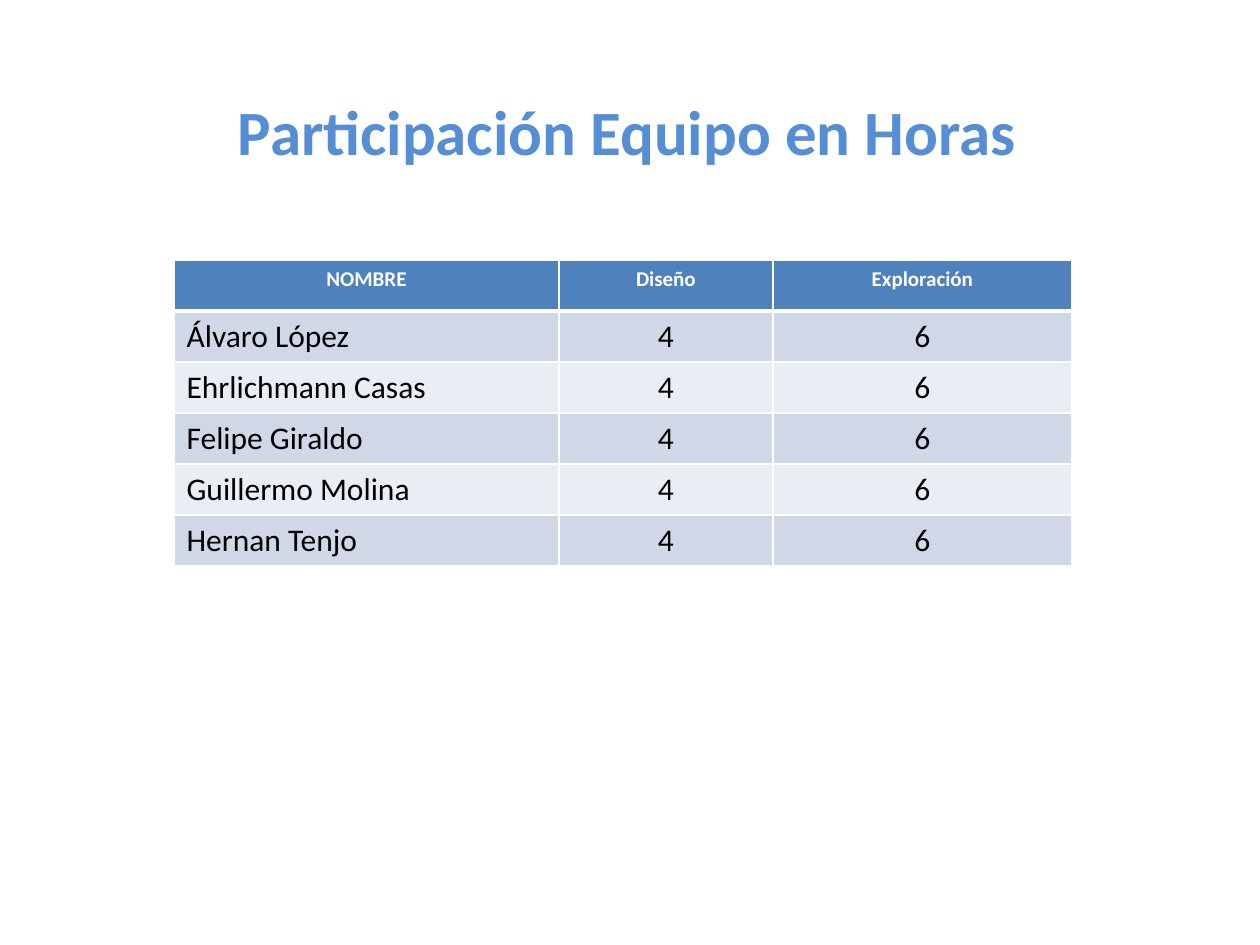
import dataclasses

import lxml.etree
import pptx
import pptx.dml.color
import pptx.enum.text
import pptx.oxml.ns
import pptx.util

RGB = pptx.dml.color.RGBColor
ALIGN = pptx.enum.text.PP_ALIGN
SCALE = 914400 // 126
WHITE = RGB(0xFF, 0xFF, 0xFF)
BLACK = RGB(0, 0, 0)
SKY = RGB(0x55, 0x8E, 0xD5)
BLUE = RGB(0x4F, 0x81, 0xBD)
BANDS = (RGB(0xD0, 0xD8, 0xE8), RGB(0xE9, 0xED, 0xF4))
WIDTHS = (385, 214, 299)
ROW = 51


@dataclasses.dataclass(frozen=True)
class Member:
    name: str
    design: int
    explore: int


TEAM = [
    Member(name, 4, 6)
    for name in (
        "Álvaro López",
        "Ehrlichmann Casas",
        "Felipe Giraldo",
        "Guillermo Molina",
        "Hernan Tenjo",
    )
]


def px(count: int) -> pptx.util.Emu:
    return pptx.util.Emu(count * SCALE)


def write(frame, text: str, *, size: int, color: RGB, bold: bool = False,
          align: ALIGN = ALIGN.CENTER) -> None:
    frame.word_wrap = True
    para = frame.paragraphs[0]
    para.alignment = align
    run = para.add_run()
    run.text = text
    run.font.name = "Calibri"
    run.font.size = pptx.util.Pt(size)
    run.font.bold = bold
    run.font.color.rgb = color


def border(cell, widths: dict[str, int]) -> None:
    props = cell._tc.get_or_add_tcPr()
    for index, (side, width) in enumerate(widths.items()):
        line = lxml.etree.Element(pptx.oxml.ns.qn(f"a:ln{side}"),
                                  w=str(pptx.util.Pt(width)))
        fill = lxml.etree.SubElement(line, pptx.oxml.ns.qn("a:solidFill"))
        lxml.etree.SubElement(fill, pptx.oxml.ns.qn("a:srgbClr"), val=str(WHITE))
        props.insert(index, line)


def draw_row(table, row: int, texts: tuple, fill: RGB) -> None:
    head = row == 0
    for col, text in enumerate(texts):
        cell = table.cell(row, col)
        cell.fill.solid()
        cell.fill.fore_color.rgb = fill
        left = col == 0 and not head
        write(cell.text_frame, str(text), size=12 if head else 18,
              color=WHITE if head else BLACK, bold=head,
              align=ALIGN.LEFT if left else ALIGN.CENTER)
        border(cell, {"L": 1, "R": 1, "T": 3 if row == 1 else 1,
                      "B": 3 if head else 1})


def draw_table(slide) -> None:
    rows = len(TEAM) + 1
    table = slide.shapes.add_table(rows, len(WIDTHS), px(174), px(260),
                                   px(sum(WIDTHS)), px(ROW * rows)).table
    for column, width in zip(table.columns, WIDTHS):
        column.width = px(width)
    draw_row(table, 0, ("NOMBRE", "Diseño", "Exploración"), BLUE)
    for row, member in enumerate(TEAM, 1):
        draw_row(table, row, dataclasses.astuple(member), BANDS[(row - 1) % 2])


def main() -> None:
    deck = pptx.Presentation()
    deck.slide_width = px(1260)
    deck.slide_height = px(945)
    slide = deck.slides.add_slide(deck.slide_layouts[6])
    title = slide.shapes.add_textbox(px(74), px(86), px(1106), px(89))
    write(title.text_frame, "Participación Equipo en Horas",
          size=36, color=SKY, bold=True)
    draw_table(slide)
    deck.save("out.pptx")


main()
